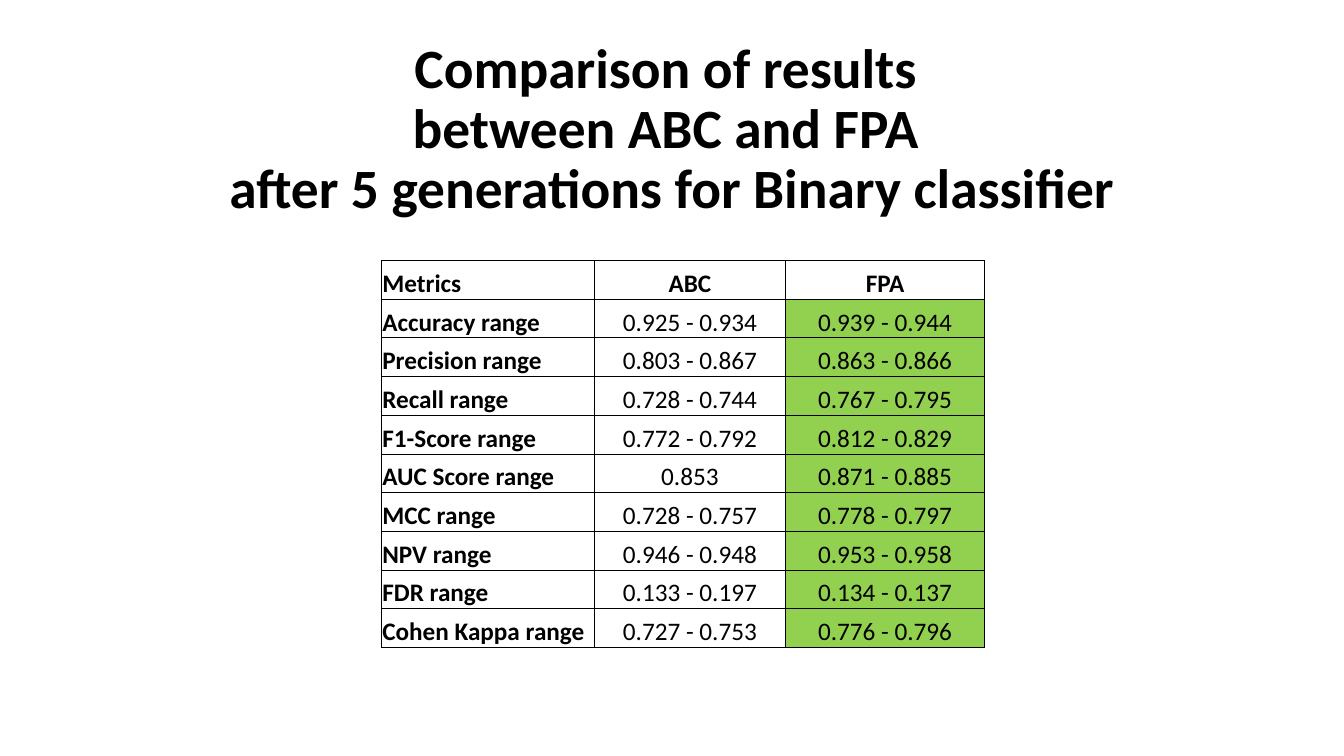
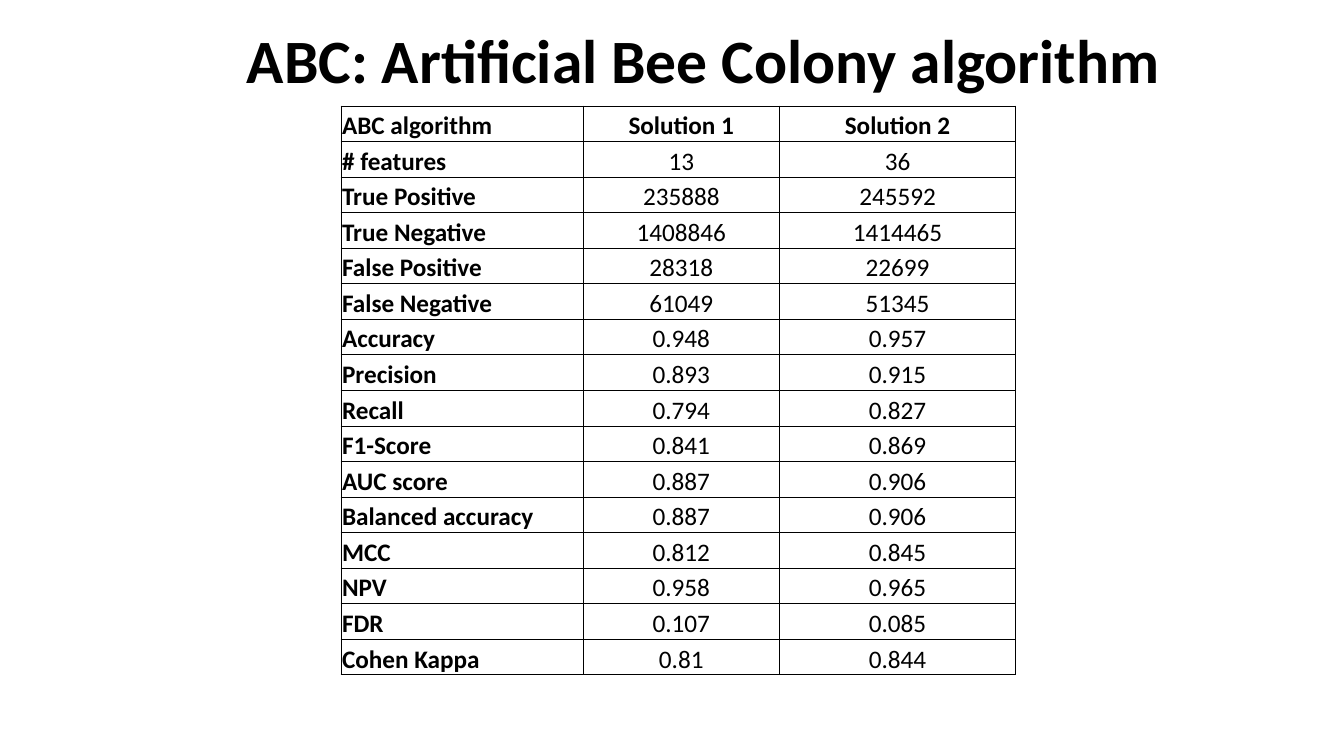
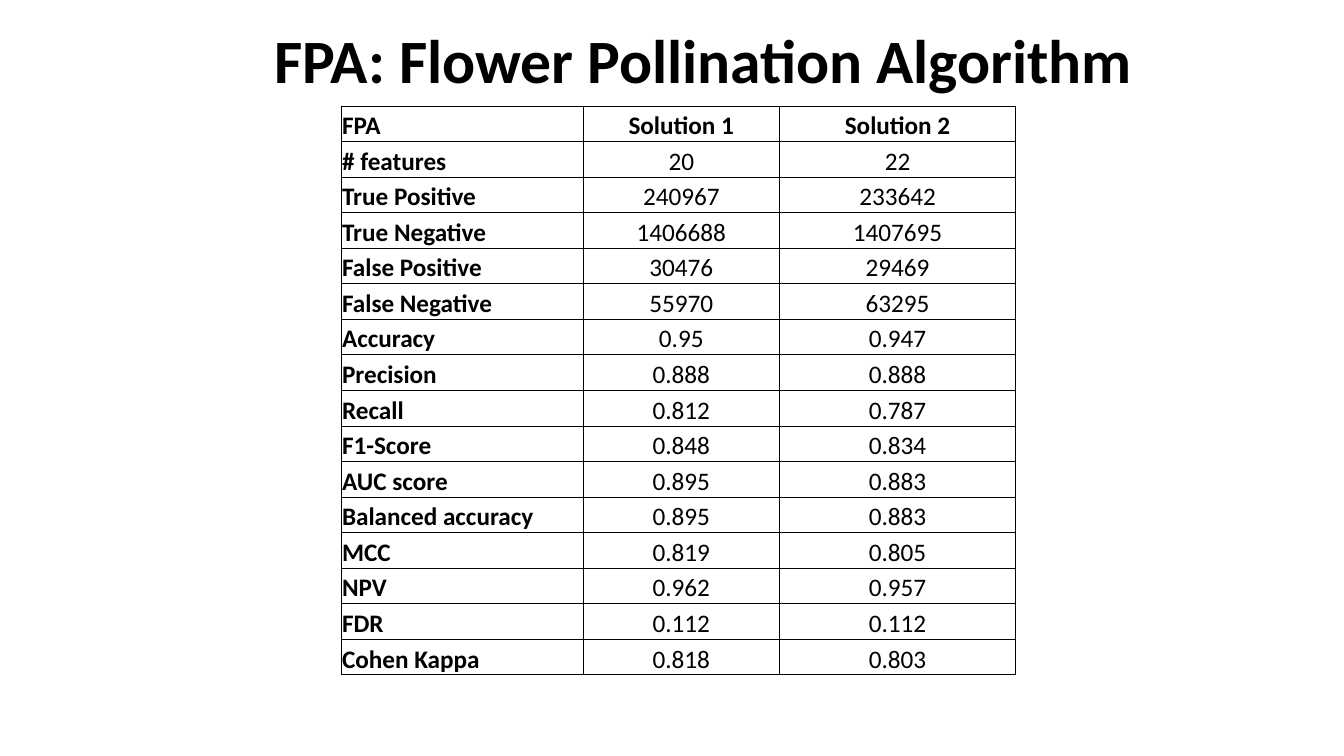
from dataclasses import dataclass

from lxml import etree
from pptx import Presentation
from pptx import util as u
from pptx.dml.color import RGBColor
from pptx.enum import text
from pptx.oxml import ns


@dataclass(frozen=True)
class Theme:
    font: str = "Calibri"
    ink: str = "000000"
    winner: str = "92D050"
    background: str = "FFFFFF"
    long_title_size: float = 39.6
    title_size: float = 44
    cell_size: float = 18
    border: float = 0.5


@dataclass(frozen=True)
class Box:
    """A region in cells of the slide grid."""
    left: float
    top: float
    width: float
    height: float

    def lengths(self):
        return [round(cells * CELL) for cells in
                (self.left, self.top, self.width, self.height)]


THEME = Theme()
COLUMNS, ROWS = 160, 90
CELL = u.Inches(1) / 12
TITLE_ONLY = 5

COMPARISON_TITLE = ("Comparison of results \vbetween ABC and FPA \v"
                    "after 5 generations for Binary classifier")
COMPARISON = [
    ("Metrics", "ABC", "FPA"),
    ("Accuracy range", "0.925 - 0.934", "0.939 - 0.944"),
    ("Precision range", "0.803 - 0.867", "0.863 - 0.866"),
    ("Recall range", "0.728 - 0.744", "0.767 - 0.795"),
    ("F1-Score range", "0.772 - 0.792", "0.812 - 0.829"),
    ("AUC Score range", "0.853", "0.871 - 0.885"),
    ("MCC range", "0.728 - 0.757", "0.778 - 0.797"),
    ("NPV range", "0.946 - 0.948", "0.953 - 0.958"),
    ("FDR range", "0.133 - 0.197", "0.134 - 0.137"),
    ("Cohen Kappa range", "0.727 - 0.753", "0.776 - 0.796"),
]

METRICS = ["# features", "True Positive", "True Negative", "False Positive",
           "False Negative", "Accuracy", "Precision", "Recall", "F1-Score",
           "AUC score", "Balanced accuracy", "MCC", "NPV", "FDR", "Cohen Kappa"]
ABC_SOLUTIONS = [
    ["13", "235888", "1408846", "28318", "61049", "0.948", "0.893", "0.794",
     "0.841", "0.887", "0.887", "0.812", "0.958", "0.107", "0.81"],
    ["36", "245592", "1414465", "22699", "51345", "0.957", "0.915", "0.827",
     "0.869", "0.906", "0.906", "0.845", "0.965", "0.085", "0.844"],
]
FPA_SOLUTIONS = [
    ["20", "240967", "1406688", "30476", "55970", "0.95", "0.888", "0.812",
     "0.848", "0.895", "0.895", "0.819", "0.962", "0.112", "0.818"],
    ["22", "233642", "1407695", "29469", "63295", "0.947", "0.888", "0.787",
     "0.834", "0.883", "0.883", "0.805", "0.957", "0.112", "0.803"],
]


def style_paragraph(paragraph, size, bold, alignment):
    paragraph.alignment = alignment
    font = paragraph.font
    font.name, font.size, font.bold = THEME.font, u.Pt(size), bold
    font.color.rgb = RGBColor.from_string(THEME.ink)


def add_titled_slide(presentation, title, box, size, anchor, line_spacing):
    slide = presentation.slides.add_slide(presentation.slide_layouts[TITLE_ONLY])
    shape = slide.shapes.title
    shape.left, shape.top, shape.width, shape.height = box.lengths()
    frame = shape.text_frame
    frame.text = title
    frame.word_wrap = True
    frame.auto_size = text.MSO_AUTO_SIZE.NONE
    frame.vertical_anchor = anchor
    paragraph = frame.paragraphs[0]
    paragraph.line_spacing = line_spacing
    style_paragraph(paragraph, size, True, text.PP_ALIGN.CENTER)
    return slide


def add_borders(cell):
    properties = cell._tc.get_or_add_tcPr()
    for side in ("lnL", "lnR", "lnT", "lnB"):
        line = etree.SubElement(properties, ns.qn(f"a:{side}"),
                                w=str(u.Pt(THEME.border)))
        fill = etree.SubElement(line, ns.qn("a:solidFill"))
        etree.SubElement(fill, ns.qn("a:srgbClr"), val=THEME.ink)


def format_cell(cell, content, is_label, is_heading, fill):
    cell.text = content
    cell.margin_left = cell.margin_right = cell.margin_top = u.Inches(0.01)
    cell.margin_bottom = 0
    cell.vertical_anchor = text.MSO_ANCHOR.BOTTOM
    alignment = text.PP_ALIGN.LEFT if is_label else text.PP_ALIGN.CENTER
    style_paragraph(cell.text_frame.paragraphs[0], THEME.cell_size,
                    is_label or is_heading, alignment)
    add_borders(cell)
    if fill:
        cell.fill.solid()
        cell.fill.fore_color.rgb = RGBColor.from_string(fill)
    else:
        cell.fill.background()


def add_metrics_table(slide, box, column_shares, rows, winner_column=None):
    """Fill the box with equal rows; the winner column is tinted below its heading."""
    left, top, width, height = box.lengths()
    table = slide.shapes.add_table(len(rows), len(column_shares),
                                   left, top, width, height).table
    table.first_row = table.horz_banding = False
    for column, share in zip(table.columns, column_shares):
        column.width = round(width * share / sum(column_shares))
    for row_index, row in enumerate(rows):
        table.rows[row_index].height = round(height / len(rows))
        for column_index, content in enumerate(row):
            is_winner = row_index > 0 and column_index == winner_column
            format_cell(table.cell(row_index, column_index), content,
                        column_index == 0, row_index == 0,
                        THEME.winner if is_winner else None)


def add_comparison_slide(presentation):
    slide = add_titled_slide(presentation, COMPARISON_TITLE,
                             Box(11, 4.8, 138, 21.5), THEME.long_title_size,
                             text.MSO_ANCHOR.MIDDLE, 0.9)
    add_metrics_table(slide, Box(45.4, 31, 71.8, 46.1), (2.11, 1.9, 1.97),
                      COMPARISON, winner_column=2)


def add_algorithm_slide(presentation, title, label, solutions):
    slide = add_titled_slide(presentation, title, Box(10, 2, 147.6, 10.1),
                             THEME.title_size, text.MSO_ANCHOR.TOP, 1.0)
    rows = [(label, "Solution 1", "Solution 2"), *zip(METRICS, *solutions)]
    add_metrics_table(slide, Box(40.6, 12.6, 80.3, 67.8), (2.4, 1.95, 2.34), rows)


def main():
    presentation = Presentation()
    presentation.slide_width = round(COLUMNS * CELL)
    presentation.slide_height = round(ROWS * CELL)
    background = presentation.slide_master.background.fill
    background.solid()
    background.fore_color.rgb = RGBColor.from_string(THEME.background)
    add_comparison_slide(presentation)
    add_algorithm_slide(presentation, "ABC: Artificial Bee Colony algorithm",
                        "ABC algorithm", ABC_SOLUTIONS)
    add_algorithm_slide(presentation, "FPA: Flower Pollination Algorithm",
                        "FPA", FPA_SOLUTIONS)
    presentation.save("out.pptx")


if __name__ == "__main__":
    main()
